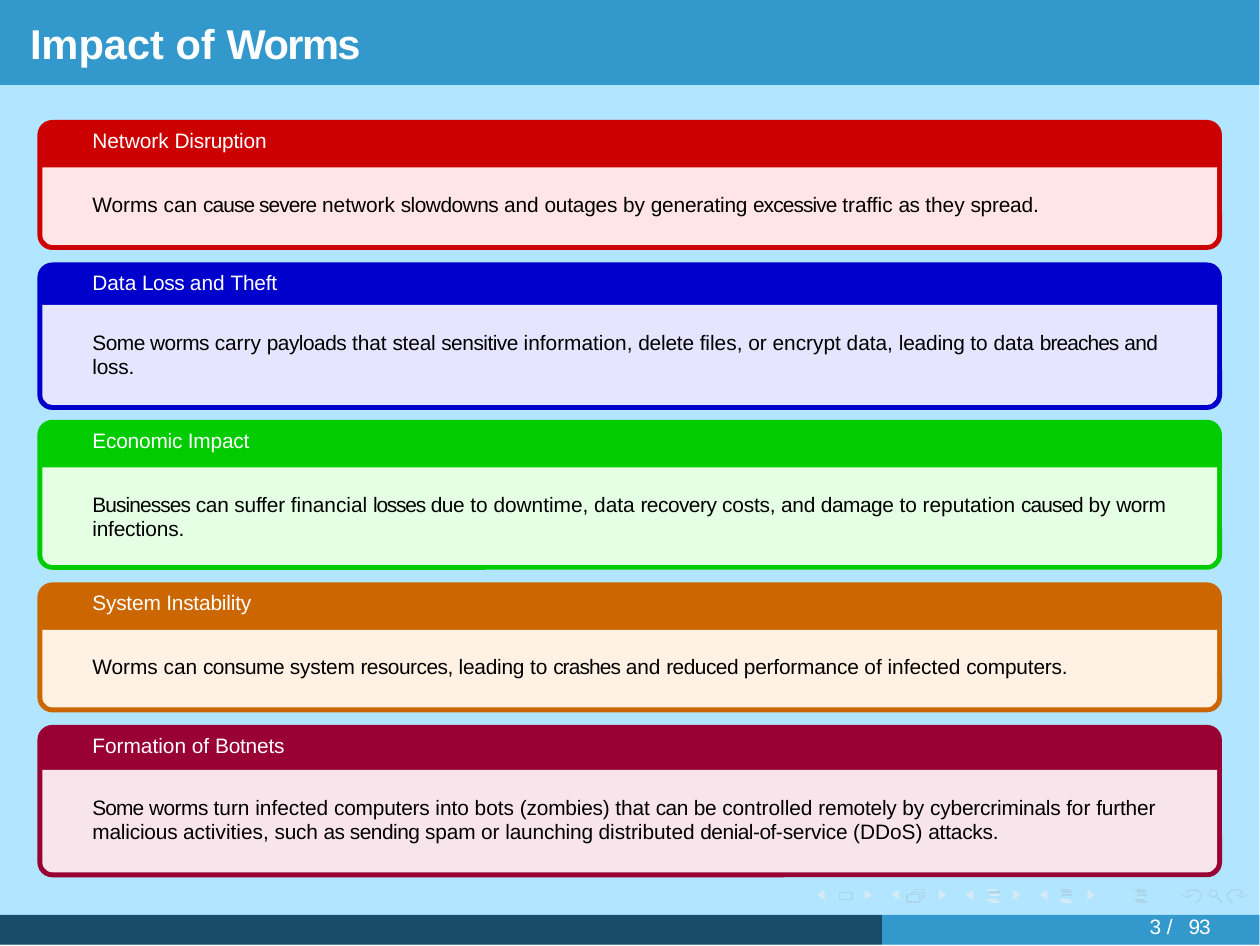
from lxml import etree
from pptx import Presentation
from pptx.dml.color import RGBColor
from pptx.enum.shapes import MSO_CONNECTOR, MSO_SHAPE
from pptx.enum.text import MSO_ANCHOR, MSO_AUTO_SIZE, PP_ALIGN
from pptx.oxml.ns import qn
from pptx.util import Inches, Pt

RECT, ROUND, OVAL = MSO_SHAPE.RECTANGLE, MSO_SHAPE.ROUNDED_RECTANGLE, MSO_SHAPE.OVAL
LOWER = MSO_SHAPE.ROUND_2_SAME_RECTANGLE
LINE = MSO_CONNECTOR.STRAIGHT
LEFT, TOP, FIXED = PP_ALIGN.LEFT, MSO_ANCHOR.TOP, MSO_AUTO_SIZE.NONE

WIDE, HIGH = 5.04, 3.78
WHITE, BLACK, SKY, BLUE, NAVY = "FFFFFF", "000000", "B2E5FF", "3399CC", "194C66"
DIM, PALE = "ADD6EA", "D6EAF4"

TITLE = [("Impact of ", 0), ("Worms", -45)]
PAGE = [("3 ", 0), ("/ ", 145), ("93", -25)]
CARDS = [
    (0.48, 0.52, 0.19, "CC0000", "FFE5E5",
     [("Network ", 0), ("Disruption", -5)],
     [("Worms can ", 0), ("cause severe ", -25), ("network ", 0), ("slowdowns ", -15),
      ("and ", 0), ("outages ", -5), ("by ", 0), ("generating ", -5),
      ("excessive ", -25), ("traffic ", 0), ("as ", -15), ("they ", 0),
      ("spread.", -5)]),
    (1.05, 0.59, 0.17, "0000CC", "E5E5FF",
     [("Data ", 0), ("Loss ", -15), ("and ", 0), ("Theft", -5)],
     [("Some worms ", -15), ("carry ", 0), ("payloads ", -15), ("that ", 0),
      ("steal ", -5), ("sensitive ", -15), ("information, ", 0), ("delete ", -5),
      ("files, or encrypt data, ", 0), ("leading ", -5), ("to data ", 0),
      ("breaches ", -25), ("and ", -15), ("loss.", -5)]),
    (1.68, 0.6, 0.19, "00CC00", "E5FFE5",
     [("Economic Impact", -5)],
     [("Businesses ", -25), ("can suffer", -5), (" financial ", 0), ("losses ", -35),
      ("due", -15), (" to downtime, data ", 0), ("recovery ", -15),
      ("costs, and ", -5), ("damage", -15), (" to reputation ", 0),
      ("caused ", -25), ("by ", 0), ("worm ", -15), ("infections.", -5)]),
    (2.33, 0.52, 0.19, "CC6600", "FFF2E5",
     [("System Instability", -5)],
     [("Worms can ", 0), ("consume ", -15), ("system ", -5), ("resources, ", -15),
      ("leading ", -5), ("to ", 0), ("crashes ", -25), ("and ", 0),
      ("reduced ", -15), ("performance ", -5), ("of infected ", 0),
      ("computers.", -5)]),
    (2.9, 0.61, 0.18, "990033", "F8E5EB",
     [("Formation of ", 0), ("Botnets", -5)],
     [("Some ", -25), ("worms ", -15), ("turn infected ", 0), ("computers ", -5),
      ("into bots ", 0), ("(zombies) ", -5), ("that ", 0), ("can ", -15),
      ("be ", -5), ("controlled ", 0), ("remotely ", -5), ("by ", 0),
      ("cybercriminals ", -5), ("for ", 0), ("further malicious ", -5),
      ("activities, ", 0), ("such ", -5), ("as sending ", -15), ("spam ", -5),
      ("or ", 0), ("launching ", -5), ("distributed ", 0), ("denial-of-", -15),
      ("service ", -5), ("(DDoS) ", 0), ("attacks.", -5)]),
]
BARS = [(3.95, (PALE, DIM, PALE, PALE, PALE)),
        (4.24, (DIM, DIM, DIM, PALE, PALE)),
        (4.54, (DIM,) * 5)]
ROWS = [(0, 3.56), (0.01, 3.57), (0.01, 3.58), (0, 3.6), (0.01, 3.61)]
STACK = [[(3.65, 3.58), (3.65, 3.57), (3.69, 3.57), (3.69, 3.6), (3.68, 3.6)],
         [(3.66, 3.57), (3.66, 3.56), (3.7, 3.56), (3.7, 3.59), (3.69, 3.59)]]
BACK = [[(4.78, 3.61), (4.79, 3.61), (4.8, 3.6), (4.81, 3.58), (4.8, 3.57),
         (4.79, 3.56), (4.77, 3.56), (4.76, 3.56), (4.75, 3.57), (4.75, 3.58)],
        [(4.77, 3.58), (4.75, 3.59), (4.73, 3.58)]]
AXIS = 4.86


def color(code):
    return RGBColor.from_string(code)


def paint(shape, fill, line):
    shape.shadow.inherit = False
    if fill:
        shape.fill.solid()
        shape.fill.fore_color.rgb = color(fill)
    else:
        shape.fill.background()
    if line:
        shape.line.color.rgb = color(line)
        shape.line.width = Pt(0.4)
    else:
        shape.line.fill.background()


def block(kind, x, y, w, h, fill=None, line=None):
    shape = shapes.add_shape(kind, Inches(x), Inches(y), Inches(w), Inches(h))
    paint(shape, fill, line)
    return shape


def trace(points, fill=None, line=None):
    spots = [(Inches(x), Inches(y)) for x, y in points]
    path = shapes.build_freeform(*spots[0], scale=1.0)
    path.add_line_segments(spots[1:], close=bool(fill))
    paint(path.convert_to_shape(), fill, line)


def stroke(x1, y1, x2, y2, tint):
    line = shapes.add_connector(LINE, Inches(x1), Inches(y1), Inches(x2), Inches(y2))
    line.line.color.rgb = color(tint)
    line.line.width = Pt(0.6)
    etree.SubElement(line._element.spPr, qn("a:effectLst"))


def write(box, runs, size, tint, bold=False, gap=None):
    frame = box.text_frame
    frame.word_wrap = True
    frame.auto_size = FIXED
    frame.vertical_anchor = TOP
    frame.margin_left = Inches(0.02)
    frame.margin_top = Inches(0.02 if gap else 0.01)
    frame.margin_right = frame.margin_bottom = 0
    para = frame.paragraphs[0]
    para.alignment = LEFT
    if gap:
        para.line_spacing = Pt(gap)
    for text, space in runs:
        run = para.add_run()
        run.text = text
        font = run.font
        font.name, font.size, font.bold = "Arial", Pt(size), bold
        font.color.rgb = color(tint)
        if space:
            run._r.get_or_add_rPr().set("spc", str(space))


def label(x, y, w, h, runs, tint, gap=None):
    box = shapes.add_textbox(Inches(x), Inches(y), Inches(w), Inches(h))
    write(box, runs, 6, tint, gap=gap)


deck = Presentation()
deck.slide_width, deck.slide_height = Pt(363), Pt(272.5)
slide = deck.slides.add_slide(deck.slide_layouts[5])
shapes = slide.shapes
slide.background.fill.solid()
slide.background.fill.fore_color.rgb = color(WHITE)

block(RECT, 0, 0, WIDE, HIGH, SKY)
block(RECT, 3.36, 3.57, 0.05, 0.03, line=DIM)
block(RECT, 3.63, 3.58, 0.05, 0.03, line=DIM)
for edge in STACK:
    trace(edge, line=DIM)
for i in range(4):
    x = 3.27 + i * 0.297
    trace([(x + 0.03, 3.56), (x, 3.58), (x + 0.03, 3.6)], fill=PALE)
    trace([(x + 0.19, 3.56), (x + 0.19, 3.6), (x + 0.22, 3.58)], fill=PALE)
for x, tints in BARS:
    for (shift, y), tint in zip(ROWS, tints):
        stroke(x + shift, y, x + shift + 0.04, y, tint)
stroke(4.87, 3.59, 4.89, 3.61, DIM)
block(OVAL, 4.84, 3.56, 0.03, 0.03, line=DIM)
for arc in BACK:
    trace(arc, line=DIM)
    trace([(2 * AXIS - x, y) for x, y in arc], line=DIM)

block(RECT, 0, 0, WIDE, 0.34, BLUE)
title = shapes.title
title.left, title.top = Inches(0.1), Inches(0.06)
title.width, title.height = Inches(1.4), Inches(0.23)
write(title, TITLE, 12, WHITE, bold=True)
shapes._spTree.append(title._element)

for top, tall, head, dark, light, name, body in CARDS:
    outer = block(ROUND, 0.15, top, 4.74, tall, dark)
    outer.adjustments[0] = 0.06 / tall
    deep = tall - head - 0.02
    inner = block(LOWER, 0.17, top + head, 4.7, deep, light)
    inner.adjustments[0] = 0
    inner.adjustments[1] = 0.04 / deep
    label(0.35, top + 0.02, 1, 0.13, name, WHITE)
    label(0.35, top + head + 0.08, 4.33, 0.22 if tall > 0.55 else 0.13, body, BLACK, 7)

block(RECT, 0, 3.66, 3.53, 0.12, NAVY)
block(RECT, 3.53, 3.66, 1.51, 0.12, BLUE)
label(4.58, 3.64, 0.34, 0.11, PAGE, WHITE, 6.8)

deck.save("out.pptx")
